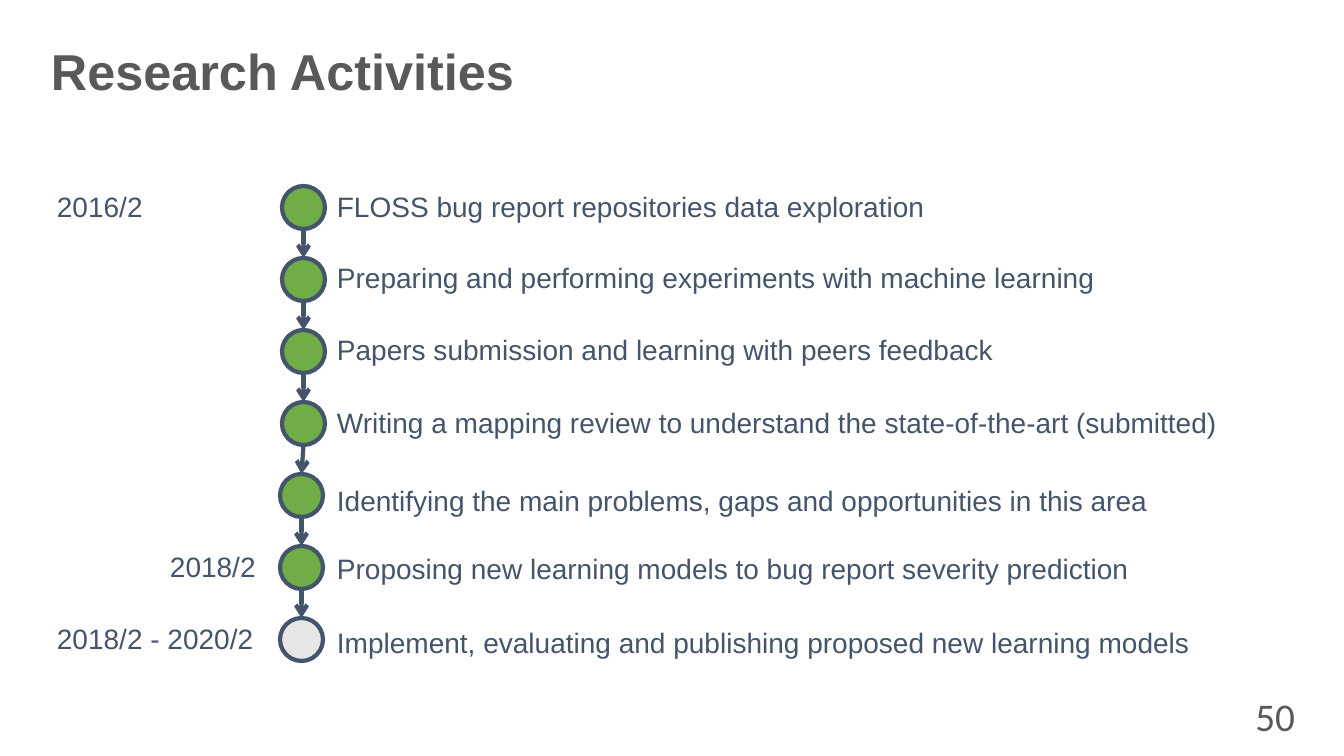
from lxml.etree import SubElement
from pptx import Presentation
from pptx.dml.color import RGBColor
from pptx.enum.shapes import MSO_CONNECTOR as CONN, MSO_SHAPE as SHAPE
from pptx.enum.text import MSO_ANCHOR as ANCHOR, PP_ALIGN as ALIGN
from pptx.oxml.ns import qn
from pptx.util import Emu, Pt

COLORS = {"ink": "44546A", "gray": "595959", "done": "70AD47", "pending": "E7E6E6"}
SCALE = 914400 / 100.8
DOT, PITCH, LABEL_H = 43, 72, 44

# label, label width, label shift, dot shift, fill
ACTIVITIES = [
    ("FLOSS bug report repositories data exploration", 631, -1, 2, "done"),
    ("Preparing and performing experiments with machine learning", 790, -2, 2, "done"),
    ("Papers submission and learning with peers feedback", 697, -2, 2, "done"),
    ("Writing a mapping review to understand the state-of-the-art (submitted)", 928, -1, 2, "done"),
    ("Identifying the main problems, gaps and opportunities in this area", 837, 5, 0, "done"),
    ("Proposing new learning models to bug report severity prediction", 831, 1, 0, "done"),
    ("Implement, evaluating and publishing proposed new learning models", 890, 3, 0, "pending"),
]
DATES = [("2016/2", 0, 0, 108), ("2018/2", 113, 5, 108), ("2018/2 - 2020/2", 0, 6, 231)]


def px(n):
    """Turn px into EMU."""
    return Emu(round(n * SCALE))


def rgb(name):
    """Look up a colour by name."""
    return RGBColor.from_string(COLORS[name])


def add_text(slide, text, x, y, w, h, size=20, color="ink", font="Arial", wrap=False):
    """Add a one-line text box and return its shape."""
    sp = slide.shapes.add_textbox(px(x), px(y), px(w), px(h))
    tf = sp.text_frame
    tf.text = text
    tf.word_wrap = wrap
    f = tf.paragraphs[0].runs[0].font
    f.name, f.size, f.color.rgb = font, Pt(size), rgb(color)
    return sp


def add_dot(slide, x, y, fill):
    """Add one milestone circle."""
    sp = slide.shapes.add_shape(SHAPE.OVAL, px(x), px(y), px(DOT), px(DOT))
    sp.shadow.inherit = False
    sp.fill.solid()
    sp.fill.fore_color.rgb = rgb(fill)
    sp.line.color.rgb, sp.line.width = rgb("ink"), Pt(3)


def add_arrow(slide, x1, y1, x2, y2):
    """Add an arrow between two milestones."""
    c = slide.shapes.add_connector(CONN.STRAIGHT, px(x1), px(y1), px(x2), px(y2))
    c.line.color.rgb, c.line.width = rgb("ink"), Pt(3)
    SubElement(c.line._get_or_add_ln(), qn("a:tailEnd"), type="arrow")
    SubElement(c._element.spPr, qn("a:effectLst"))


def add_title(slide, x, y, w, h):
    """Add the slide title."""
    tf = add_text(slide, "Research Activities", x, y, w, h, 36, "gray", wrap=True).text_frame
    tf.vertical_anchor = ANCHOR.MIDDLE
    tf.paragraphs[0].line_spacing = 0.9
    tf.paragraphs[0].runs[0].font.bold = True


def add_timeline(slide, x, y):
    """Add the milestones, their labels and the arrows between them."""
    for i, (text, w, dy, dx, fill) in enumerate(ACTIVITIES):
        top = y + i * PITCH
        add_dot(slide, x + dx, top, fill)
        add_text(slide, text, x + 47, top + dy, w, LABEL_H)
    for i, (above, below) in enumerate(zip(ACTIVITIES, ACTIVITIES[1:])):
        top, mid = y + i * PITCH, x + DOT / 2
        add_arrow(slide, mid + above[3], top + DOT, mid + below[3], top + PITCH)


def add_dates(slide, x, y):
    """Add the dates beside their milestones."""
    for text, dx, row, w in DATES:
        add_text(slide, text, x + dx, y + row * PITCH, w, LABEL_H)


def add_page_number(slide, x, y, w, h):
    """Add the page number."""
    tf = add_text(slide, "50", x, y, w, h, 28, "gray", "Calibri", True).text_frame
    tf.vertical_anchor = ANCHOR.MIDDLE
    tf.paragraphs[0].alignment = ALIGN.RIGHT


def main():
    """Build and save the slide."""
    prs = Presentation()
    prs.slide_width, prs.slide_height = px(1344), px(756)
    slide = prs.slides.add_slide(prs.slide_layouts[6])
    add_title(slide, 41, 40, 1211, 68)
    add_timeline(slide, 280, 186)
    add_dates(slide, 47, 185)
    add_page_number(slide, 1201, 696, 104, 40)
    prs.save("out.pptx")


if __name__ == "__main__":
    main()
